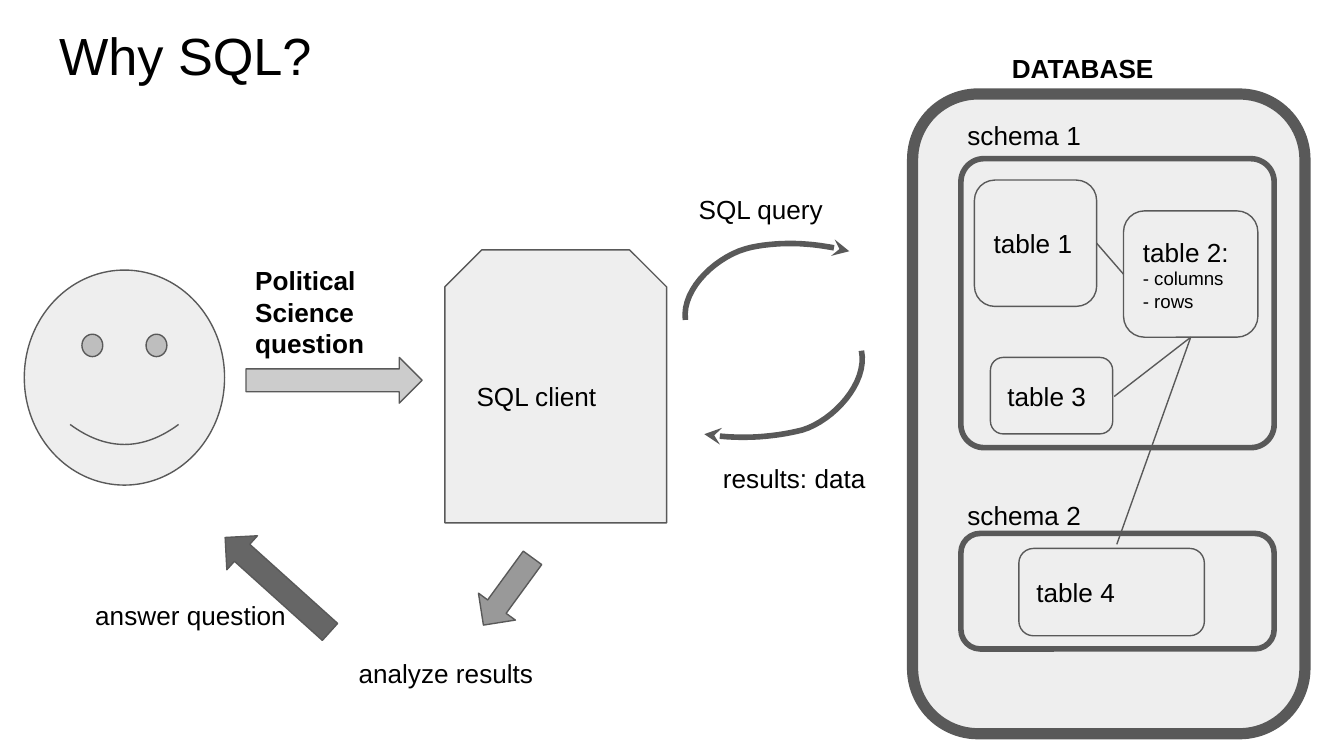
from lxml.etree import SubElement
from pptx import Presentation
from pptx.dml.color import RGBColor
from pptx.enum.shapes import MSO_CONNECTOR, MSO_SHAPE
from pptx.enum.text import MSO_ANCHOR, PP_ALIGN
from pptx.oxml.ns import qn
from pptx.util import Pt

COLORS = {
    "text": "000000",
    "panel": "EEEEEE",
    "outline": "595959",
    "ask": "CCCCCC",
    "analyze": "999999",
    "answer": "666666",
}


def color(name):
    return RGBColor.from_string(COLORS[name])


def points(values):
    return [Pt(value) for value in values]


def write_text(box, text, size=14, bold=False, anchor=MSO_ANCHOR.TOP, details=()):
    frame = box.text_frame
    frame.word_wrap = True
    frame.vertical_anchor = anchor
    frame.margin_left = frame.margin_right = Pt(7.2)
    frame.margin_top = frame.margin_bottom = Pt(7.2)
    para = frame.paragraphs[0]
    para.alignment = PP_ALIGN.LEFT
    for index, line in enumerate((text, *details)):
        if index:
            para.add_line_break()
        span = para.add_run()
        span.text = line
        span.font.name = "Arial"
        span.font.size = Pt(10 if index else size)
        span.font.bold = bold
        span.font.color.rgb = color("text")


def style_line(line, width):
    line.color.rgb = color("outline")
    line.width = Pt(width)


def add_title(page, text):
    title = page.shapes.title
    title.left, title.top, title.width, title.height = points((24.5, 5, 671, 45.4))
    write_text(title, text, size=28)


def add_label(page, text, place, bold=False):
    write_text(page.shapes.add_textbox(*points(place)), text, bold=bold)


def add_block(page, kind, place, fill="panel", width=0.75, adjust=None,
              rotation=0, text=None, details=()):
    shape = page.shapes.add_shape(kind, *points(place))
    shape.shadow.inherit = False
    shape.fill.solid()
    shape.fill.fore_color.rgb = color(fill)
    style_line(shape.line, width)
    shape.rotation = rotation
    if adjust is not None:
        shape.adjustments[0] = adjust
    if text:
        write_text(shape, text, anchor=MSO_ANCHOR.MIDDLE, details=details)


def add_link(page, start, end):
    link = page.shapes.add_connector(MSO_CONNECTOR.STRAIGHT, *points(start + end))
    style_line(link.line, 0.75)
    SubElement(link._element.spPr, qn("a:effectLst"))


def bezier(controls, t):
    weights = ((1 - t) ** 3, 3 * t * (1 - t) ** 2, 3 * t ** 2 * (1 - t), t ** 3)
    return tuple(
        Pt(sum(weight * point[axis] for weight, point in zip(weights, controls)))
        for axis in (0, 1)
    )


def add_curved_arrow(page, controls, steps=16):
    vertices = [
        bezier(controls[first:first + 4], step / steps)
        for first in (0, 3)
        for step in range(1, steps + 1)
    ]
    builder = page.shapes.build_freeform(*points(controls[0]))
    builder.add_line_segments(vertices, close=False)
    curve = builder.convert_to_shape()
    curve.shadow.inherit = False
    curve.fill.background()
    style_line(curve.line, 3)
    SubElement(curve.line._get_or_add_ln(), qn("a:tailEnd"), type="stealth")


def add_database(page):
    rounded = MSO_SHAPE.ROUNDED_RECTANGLE
    add_block(page, rounded, (488.9, 50.4, 210.2, 342.7), width=6)
    add_block(page, rounded, (514.8, 85, 167.8, 154.8), width=3, adjust=0.08)
    add_block(page, rounded, (514.8, 285.8, 167.8, 61.9), width=3)
    tables = (
        ("table 1", (522, 96.5, 65.5, 67.7), ()),
        ("table 2:", (601.9, 113, 72, 67.7), ("- columns", "- rows")),
        ("table 3", (530.6, 191.5, 65.5, 41), ()),
        ("table 4", (545.8, 293.8, 99.4, 46.8), ()),
    )
    for text, place, details in tables:
        add_block(page, rounded, place, text=text, details=details)
    add_label(page, "schema 1", (511.2, 56.9, 175, 31.7))
    add_label(page, "schema 2", (511.2, 260.6, 175, 31.7))
    add_label(page, "DATABASE", (535, 20.9, 175, 31.7), bold=True)
    below_table_2 = (637.9, 180.7)
    add_link(page, (587.5, 130.3), (601.9, 146.9))
    add_link(page, (596.9, 212.4), below_table_2)
    add_link(page, below_table_2, (598.3, 291.6))


def add_query_cycle(page):
    add_curved_arrow(page, (
        (367.2, 171.4), (365, 154.1), (385.2, 136.1), (402.5, 132.5),
        (419.8, 128.9), (437.8, 130.3), (455, 134.6),
    ))
    add_curved_arrow(page, (
        (461.5, 187.9), (465.1, 205.2), (446.4, 225.4), (429.8, 230.4),
        (412.6, 234.7), (394.6, 235.4), (377.3, 232.6),
    ))
    add_label(page, "SQL query", (367.2, 96.5, 99.4, 38.2))
    add_label(page, "results: data", (380.2, 240.5, 99.4, 38.2))


def add_research_steps(page):
    arrow = MSO_SHAPE.RIGHT_ARROW
    add_block(page, arrow, (131.8, 191.5, 94.3, 24.5), fill="ask")
    add_label(page, "Political Science question", (129.6, 134.6, 99.4, 56.9), bold=True)
    add_block(page, arrow, (249.8, 304.6, 44.6, 24.5), fill="analyze", rotation=126.1)
    add_label(page, "analyze results", (185, 344.9, 123.1, 38.2))
    add_block(page, arrow, (110.9, 301, 75.6, 24.5), fill="answer", rotation=222)
    add_label(page, "answer question", (43.9, 313.9, 126, 38.2))


def main():
    deck = Presentation()
    deck.slide_width, deck.slide_height = Pt(720), Pt(405)
    page = deck.slides.add_slide(deck.slide_layouts[5])
    add_title(page, "Why SQL?")
    add_database(page)
    add_block(page, MSO_SHAPE.SMILEY_FACE, (13, 144.7, 107.3, 115.2))
    add_block(page, MSO_SHAPE.SNIP_2_SAME_RECTANGLE, (238.3, 133.9, 118.8, 146.2),
              text="SQL client")
    add_query_cycle(page)
    add_research_steps(page)
    deck.save("out.pptx")


if __name__ == "__main__":
    main()
